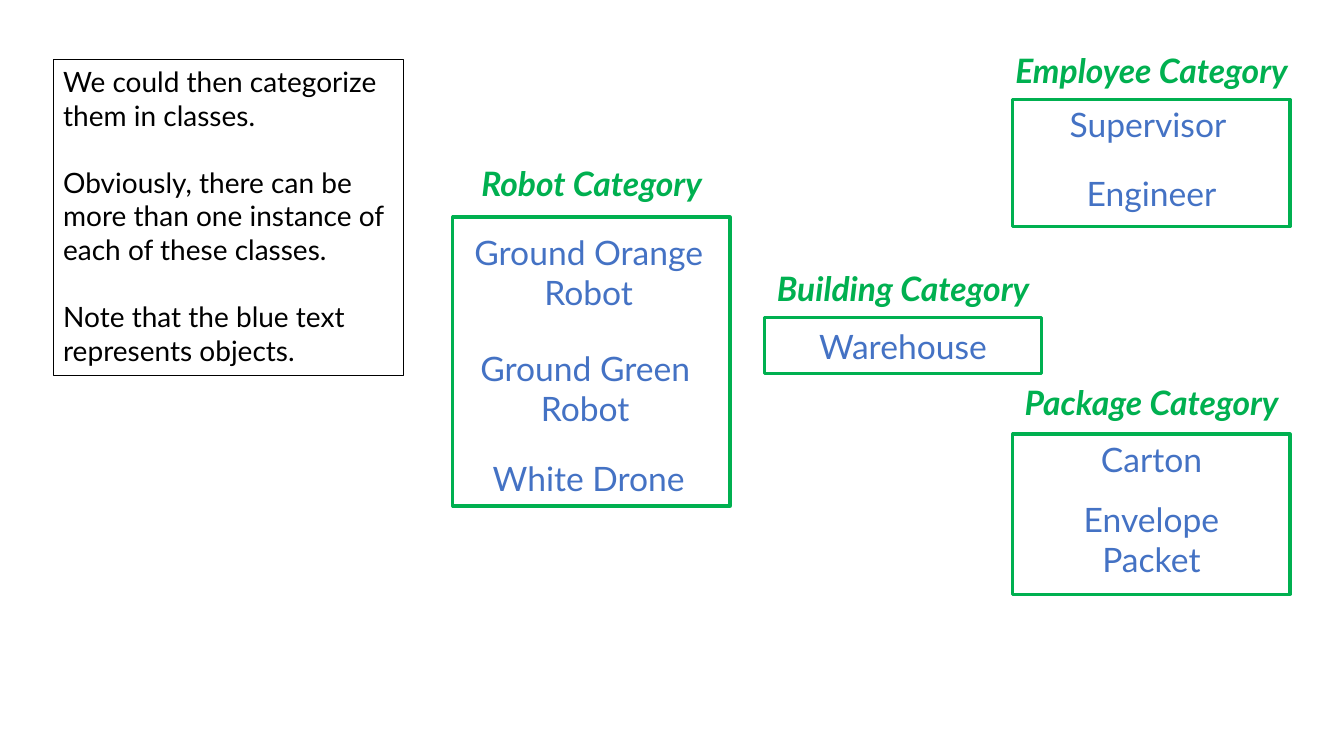
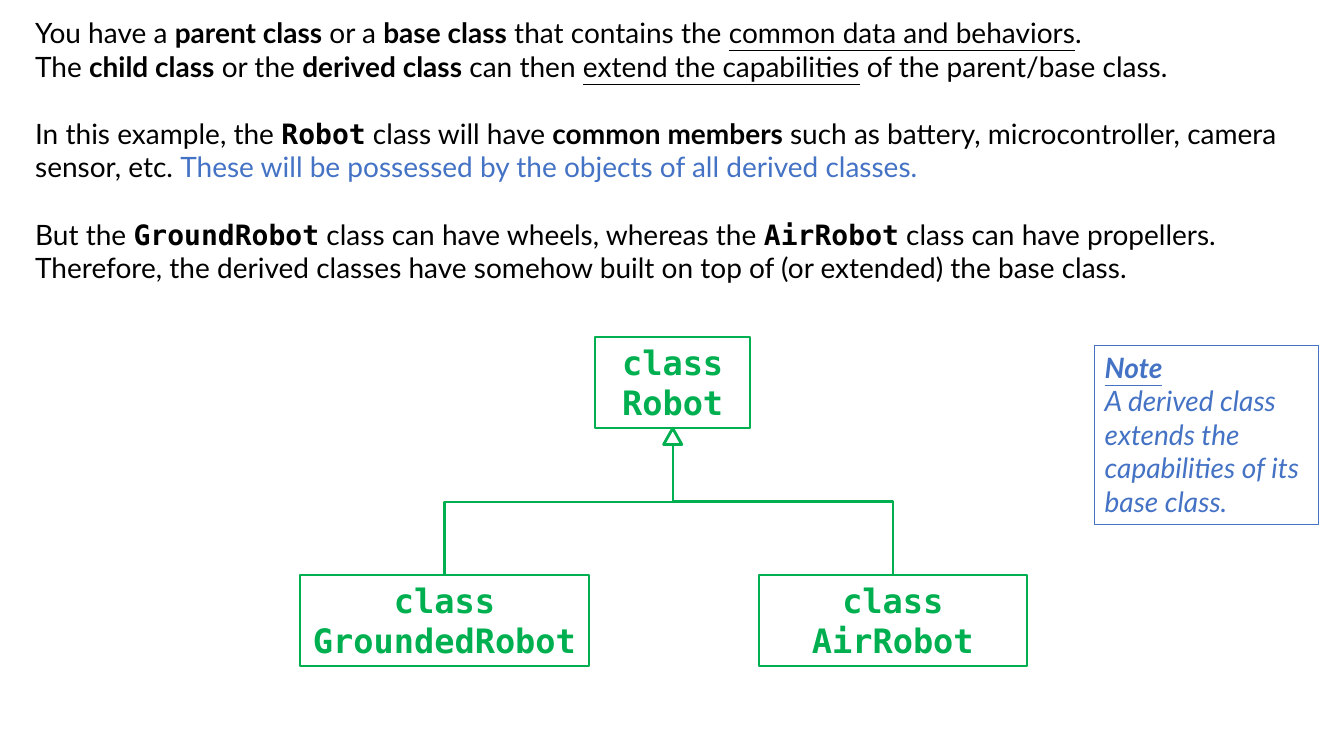
from dataclasses import dataclass

from lxml import etree
from pptx import Presentation
from pptx.dml.color import RGBColor
from pptx.enum import shapes, text
from pptx.oxml.ns import qn
from pptx.util import Pt

BLACK, WHITE, GREEN, BLUE = "000000", "FFFFFF", "00B050", "4472C4"
BODY_FONT, CODE_FONT = "Lato", "DejaVu Sans Mono"
BODY_SIZE, LABEL_SIZE = 20, 24
BLANK_LINE = 24
FRAME_WIDTH, TITLE_WIDTH, ITEM_WIDTH = 198, 248, 207
LINE_HEIGHT, TWO_LINES = 36, 65.5


@dataclass
class Style:
    size: float = BODY_SIZE
    color: str = BLACK
    font: str = BODY_FONT
    bold: bool = False
    italic: bool = False
    underline: bool = False


PLAIN = Style()
BOLD = Style(bold=True)
UNDERLINED = Style(underline=True)
CODE = Style(font=CODE_FONT, bold=True)
REMARK = Style(color=BLUE)
NOTE_HEAD = Style(color=BLUE, bold=True, italic=True, underline=True)
NOTE_TEXT = Style(color=BLUE, italic=True)
CATEGORY = Style(LABEL_SIZE, GREEN, bold=True, italic=True)
OBJECT = Style(LABEL_SIZE, BLUE)
CLASS_NAME = Style(LABEL_SIZE, GREEN, CODE_FONT, bold=True)


def rgb(color):
    return RGBColor.from_string(color)


def outline(shape, color, weight):
    shape.line.color.rgb = rgb(color)
    shape.line.width = Pt(weight)


def add_text(slide, box, paragraphs, centered=False):
    """Each paragraph is (space before, [(wording, style), ...])."""
    shape = slide.shapes.add_textbox(*map(Pt, box))
    frame = shape.text_frame
    frame.word_wrap = True
    for index, (space, runs) in enumerate(paragraphs):
        paragraph = frame.add_paragraph() if index else frame.paragraphs[0]
        paragraph.alignment = text.PP_ALIGN.CENTER if centered else text.PP_ALIGN.LEFT
        if space:
            paragraph.space_before = Pt(space)
        for wording, style in runs:
            run = paragraph.add_run()
            run.text = wording
            run.font.size = Pt(style.size)
            run.font.name = style.font
            run.font.color.rgb = rgb(style.color)
            run.font.bold = style.bold
            run.font.italic = style.italic
            run.font.underline = style.underline
    return shape


def add_label(slide, box, wording, style):
    return add_text(slide, box, [(0, [(wording, style)])], centered=True)


def add_preset(slide, preset, box, weight, fill=None):
    shape = slide.shapes.add_shape(preset, *map(Pt, box))
    shape.shadow.inherit = False
    if fill:
        shape.fill.solid()
        shape.fill.fore_color.rgb = rgb(fill)
    else:
        shape.fill.background()
    outline(shape, GREEN, weight)
    return shape


def add_category(slide, box, title, title_rise, items):
    """Each item is (wording, offset from frame top, offset from centre, width, height)."""
    left, top, width, _ = box
    center = left + width / 2
    add_preset(slide, shapes.MSO_SHAPE.RECTANGLE, box, 2.25)
    title_box = (center - TITLE_WIDTH / 2, top - title_rise, TITLE_WIDTH, LINE_HEIGHT)
    add_label(slide, title_box, title, CATEGORY)
    for wording, down, across, item_width, height in items:
        item_box = (center + across - item_width / 2, top + down, item_width, height)
        add_label(slide, item_box, wording, OBJECT)


def add_class(slide, box, name):
    shape = add_label(slide, box, f"class {name}", CLASS_NAME)
    outline(shape, GREEN, 1.5)
    return shape


def connect_up(slide, child, parent):
    """Elbow that leaves the child's top vertically and enters the parent's bottom."""
    connector = slide.shapes.add_connector(shapes.MSO_CONNECTOR.ELBOW, 0, 0, 0, 0)
    connector.begin_connect(child, 0)
    connector.end_connect(parent, 2)
    outline(connector, GREEN, 1.5)
    start, end = child.left + child.width // 2, parent.left + parent.width // 2
    bottom, top = child.top, parent.top + parent.height
    rise, run = bottom - top, abs(end - start)
    transform = connector._element.spPr.find(qn("a:xfrm"))
    transform.attrib.clear()
    transform.set("rot", str(270 * 60000))
    if start > end:
        transform.set("flipV", "1")
    connector.left = (start + end - rise) // 2
    connector.top = (top + bottom - run) // 2
    connector.width, connector.height = rise, run
    etree.SubElement(connector._element.spPr, qn("a:effectLst"))


def add_hierarchy(slide, left, top):
    parent = add_class(slide, (left + 211, top, 111, TWO_LINES), "Robot")
    for across, width, name in ((0, 207, "GroundedRobot"), (328, 191.5, "AirRobot")):
        child = add_class(slide, (left + across, top + 170, width, TWO_LINES), name)
        connect_up(slide, child, parent)
    arrow_box = (left + 260, top + TWO_LINES, 13, 11.5)
    add_preset(slide, shapes.MSO_SHAPE.ISOSCELES_TRIANGLE, arrow_box, 2, WHITE)


def build_categories(slide):
    intro = add_text(slide, (38, 42.5, 250, 225.5), [
        (0, [("We could then categorize them in classes.", PLAIN)]),
        (BLANK_LINE, [("Obviously, there can be more than one instance of each of "
                       "these classes.", PLAIN)]),
        (BLANK_LINE, [("Note that the blue text represents objects.", PLAIN)]),
    ])
    outline(intro, BLACK, 0.75)
    add_category(slide, (323.5, 155, FRAME_WIDTH, 206.5), "Robot Category", 42, [
        ("Ground Orange Robot", 7, -2, ITEM_WIDTH, TWO_LINES),
        ("Ground Green Robot", 90, -4.5, ITEM_WIDTH, TWO_LINES),
        ("White Drone", 168.5, -2, ITEM_WIDTH, LINE_HEIGHT),
    ])
    add_category(slide, (723.5, 71, FRAME_WIDTH, 91), "Employee Category", 39, [
        ("Supervisor", -0.5, -2.5, ITEM_WIDTH, LINE_HEIGHT),
        ("Engineer", 49, 0, ITEM_WIDTH, LINE_HEIGHT),
    ])
    add_category(slide, (546, 227, FRAME_WIDTH, 40), "Building Category", 39, [
        ("Warehouse", 2, 0, ITEM_WIDTH, LINE_HEIGHT),
    ])
    add_category(slide, (723.5, 310, FRAME_WIDTH, 114.5), "Package Category", 41, [
        ("Carton", 0, 0, ITEM_WIDTH, LINE_HEIGHT),
        ("Envelope Packet", 42.5, 0, 158, TWO_LINES),
    ])


def build_inheritance(slide):
    add_text(slide, (18, 7.5, 924, 201), [
        (0, [("You have a ", PLAIN), ("parent class", BOLD), (" or a ", PLAIN),
             ("base class", BOLD), (" that contains the ", PLAIN),
             ("common data and behaviors", UNDERLINED), (".", PLAIN)]),
        (0, [("The ", PLAIN), ("child class", BOLD), (" or the ", PLAIN),
             ("derived class", BOLD), (" can then ", PLAIN),
             ("extend the capabilities", UNDERLINED),
             (" of the parent/base class.", PLAIN)]),
        (BLANK_LINE, [
            ("In this example, the ", PLAIN), ("Robot", CODE),
            (" class will have ", PLAIN), ("common members ", BOLD),
            ("such as battery, microcontroller, camera sensor, etc. ", PLAIN),
            ("These will be possessed by the objects of all derived classes.", REMARK)]),
        (BLANK_LINE, [
            ("But the ", PLAIN), ("GroundRobot", CODE),
            (" class can have wheels, whereas the ", PLAIN), ("AirRobot", CODE),
            (" class can have propellers.", PLAIN)]),
        (0, [("Therefore, the derived classes have somehow built on top of "
              "(or extended) the base class.", PLAIN)]),
    ])
    add_hierarchy(slide, 214, 240.5)
    note = add_text(slide, (782, 246.5, 160, 128), [
        (0, [("Note", NOTE_HEAD)]),
        (0, [("A derived class extends the capabilities of its base class.", NOTE_TEXT)]),
    ])
    outline(note, BLUE, 0.75)


def main():
    presentation = Presentation()
    presentation.slide_width, presentation.slide_height = Pt(960), Pt(540)
    blank = presentation.slide_layouts[6]
    for build in (build_categories, build_inheritance):
        build(presentation.slides.add_slide(blank))
    presentation.save("out.pptx")


if __name__ == "__main__":
    main()
